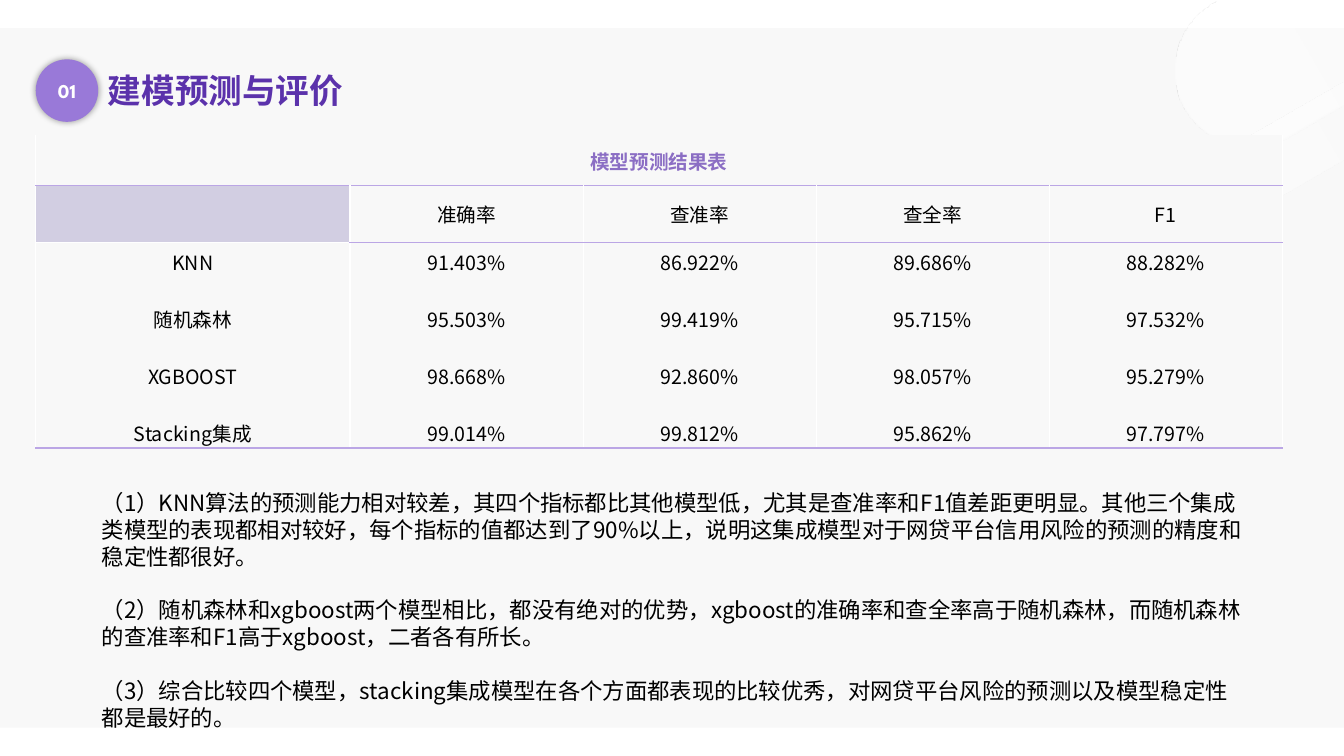
from lxml.etree import SubElement
from pptx import Presentation
from pptx.dml.color import RGBColor
from pptx.enum.shapes import MSO_SHAPE
from pptx.enum.text import MSO_ANCHOR, MSO_AUTO_SIZE, PP_ALIGN
from pptx.oxml import parse_xml
from pptx.oxml.ns import nsdecls, qn
from pptx.util import Inches, Pt

WIDE, HIGH = Inches(13.33), Inches(7.5)
SANS, HEAD = "Noto Sans CJK SC", "League Spartan"
PALE, LILAC, WHITE = "F8F8F8", "BBA6E5", "FFFFFF"

MODELS = ["KNN", "随机森林", "XGBOOST", "Stacking集成"]
SCORES = {
    "准确率": ["91.403%", "95.503%", "98.668%", "99.014%"],
    "查准率": ["86.922%", "99.419%", "92.860%", "99.812%"],
    "查全率": ["89.686%", "95.715%", "98.057%", "95.862%"],
    "F1": ["88.282%", "97.532%", "95.279%", "97.797%"],
}
NOTES = [
    "（1）KNN算法的预测能力相对较差，其四个指标都比其他模型低，尤其是查准率和F1值差距更明显。"
    "其他三个集成类模型的表现都相对较好，每个指标的值都达到了90%以上，"
    "说明这集成模型对于网贷平台信用风险的预测的精度和稳定性都很好。",
    "（2）随机森林和xgboost两个模型相比，都没有绝对的优势，"
    "xgboost的准确率和查全率高于随机森林，而随机森林的查准率和F1高于xgboost，二者各有所长。",
    "（3）综合比较四个模型，stacking集成模型在各个方面都表现的比较优秀，"
    "对网贷平台风险的预测以及模型稳定性都是最好的。",
]
# Each ribbon: outline points in percent of the slide; six-number items are curves.
RIBBONS = [
    [(90.25, 0.53), (89.35, 1.73), (87.4, 4.93, 86.87, 10.13, 88.22, 14.27),
     (89.8, 19.07, 93.25, 20.8, 95.95, 18), (168.12, -56.13), (162.49, -73.47)],
    [(86.2, 24.93), (85.82, 25.47), (84.92, 26.8, 84.7, 29.2, 85.3, 31.07),
     (85.97, 33.2, 87.55, 33.87, 88.75, 32.67), (120.78, -0.27), (118.23, -7.87)],
]


def color(code):
    return RGBColor.from_string(code)


def area(x, y, w, h):
    """Turn percents of the slide into left, top, width and height."""
    return [round(part * full / 100) for part, full in zip((x, y, w, h), (WIDE, HIGH) * 2)]


def apply(item, form):
    for name, value in form.items():
        setattr(item, name, value)


def write(frame, lines, face, size, code, bold=False, gap=0, **form):
    """Fill a text frame with one paragraph per line; gaps go above all but the first."""
    for i, line in enumerate(lines):
        para = frame.add_paragraph() if i else frame.paragraphs[0]
        apply(para, {**form, "space_before": Pt(gap if i else 0)})
        run = para.add_run()
        run.text = line
        apply(run.font, {"name": face, "size": Pt(size), "bold": bold})
        run.font.color.rgb = color(code)
        SubElement(run.font._element, qn("a:ea")).set("typeface", SANS)


def shape(slide, kind, place, code):
    item = slide.shapes.add_shape(kind, *area(*place))
    item.shadow.inherit = False
    item.fill.solid()
    item.fill.fore_color.rgb = color(code)
    item.line.fill.background()
    return item


def trace(points):
    """Flatten an outline with cubic curves into straight steps."""
    path = []
    for point in points:
        if len(point) == 2:
            path.append(point)
            continue
        start, ends = path[-1], (point[:2], point[2:4], point[4:])
        for step in range(1, 13):
            t = step / 12
            u = 1 - t
            path.append(tuple(
                u**3 * a + 3 * u * u * t * b + 3 * u * t * t * c + t**3 * d
                for a, b, c, d in zip(start, *ends)))
    return [(round(x * WIDE / 100), round(y * HIGH / 100)) for x, y in path]


def ribbon(slide, points):
    path = trace(points)
    pen = slide.shapes.build_freeform(*path[0])
    pen.add_line_segments(path[1:], close=True)
    item = pen.convert_to_shape()
    item.shadow.inherit = False
    item.line.fill.background()
    item.fill.gradient()
    item.fill.gradient_angle = 30
    for stop, spot, alpha in zip(item.fill.gradient_stops, (0, 0.85), (50, 0)):
        stop.color.rgb = color(WHITE)
        stop.position = spot
        SubElement(stop._gs[0], qn("a:alpha")).set("val", str(alpha * 1000))


def badge(slide):
    item = shape(slide, MSO_SHAPE.OVAL, (2.66, 7.85, 4.65, 8.27), "9979D8")
    glow = item._element.spPr.find(qn("a:effectLst"))
    glow.append(parse_xml(
        f'<a:outerShdw {nsdecls("a")} blurRad="{Pt(5)}" dist="0" algn="ctr">'
        '<a:srgbClr val="000000"><a:alpha val="40000"/></a:srgbClr></a:outerShdw>'))
    apply(item.text_frame, {"margin_left": 0, "margin_right": 0,
                            "vertical_anchor": MSO_ANCHOR.MIDDLE})
    write(item.text_frame, ["01"], HEAD, 14, WHITE, True, alignment=PP_ALIGN.CENTER)


def title(slide):
    item = slide.shapes.title
    tree = item.element.getparent()
    tree.append(item.element)
    apply(item, dict(zip(("left", "top", "width", "height"), area(7.28, 8.53, 19.2, 6.67))))
    apply(item.text_frame, {"word_wrap": False, "auto_size": MSO_AUTO_SIZE.NONE,
                            "vertical_anchor": MSO_ANCHOR.MIDDLE})
    write(item.text_frame, ["建模预测与评价"], HEAD, 24, "5B32AB", True,
          alignment=PP_ALIGN.LEFT)


def edge(cell, top, base):
    """Draw white side borders and the given top and bottom ones."""
    props = cell._tc.get_or_add_tcPr()
    sides = {"lnL": WHITE, "lnR": WHITE, "lnT": top, "lnB": base}
    for i, (side, code) in enumerate(sides.items()):
        props.insert(i, parse_xml(
            f'<a:{side} {nsdecls("a")} w="{Pt(1)}"><a:solidFill>'
            f'<a:srgbClr val="{code}"/></a:solidFill></a:{side}>'))


def fill(cell, lines, top, base, back=PALE, code="000000", bold=False):
    cell.fill.solid()
    cell.fill.fore_color.rgb = color(back)
    apply(cell, {"vertical_anchor": MSO_ANCHOR.MIDDLE, "margin_left": 0, "margin_right": 0})
    if len(lines) > 1:
        cell.margin_bottom = 0
    write(cell.text_frame, lines, SANS, 14, code, bold, alignment=PP_ALIGN.CENTER, gap=20.3)
    edge(cell, top, base)


def table(slide):
    grid = slide.shapes.add_table(3, 5, *area(2.65, 18, 92.8, 41.3)).table
    apply(grid, {"first_row": False, "horz_banding": False})
    for col, share in zip(grid.columns, [23.4] + [17.34] * 4):
        col.width = round(share * WIDE / 100)
    for row, share in zip(grid.rows, (6.55, 7.53, 27.2)):
        row.height = round(share * HIGH / 100)
    for i in range(5):
        fill(grid.cell(0, i), [] if i else ["模型预测结果表"], PALE, LILAC,
             code="8B6EC4", bold=True)
    grid.cell(0, 0).merge(grid.cell(0, 4))
    fill(grid.cell(1, 0), [], LILAC, WHITE, back="D2CEE2")
    fill(grid.cell(2, 0), MODELS, WHITE, LILAC)
    for i, (name, marks) in enumerate(SCORES.items(), 1):
        fill(grid.cell(1, i), [name], LILAC, LILAC)
        fill(grid.cell(2, i), marks, LILAC, LILAC)


def notes(slide):
    frame = slide.shapes.add_textbox(*area(6.83, 64, 86.42, 33.6)).text_frame
    frame.word_wrap = True
    write(frame, NOTES, SANS, 16, "000000", line_spacing=Pt(19.3), gap=18.8)


def main():
    deck = Presentation()
    apply(deck, {"slide_width": WIDE, "slide_height": HIGH})
    slide = deck.slides.add_slide(deck.slide_layouts[5])
    shape(slide, MSO_SHAPE.RECTANGLE, (0, 3.73, 100, 92.53), PALE)
    for points in RIBBONS:
        ribbon(slide, points)
    title(slide)
    badge(slide)
    table(slide)
    notes(slide)
    deck.save("out.pptx")


if __name__ == "__main__":
    main()
